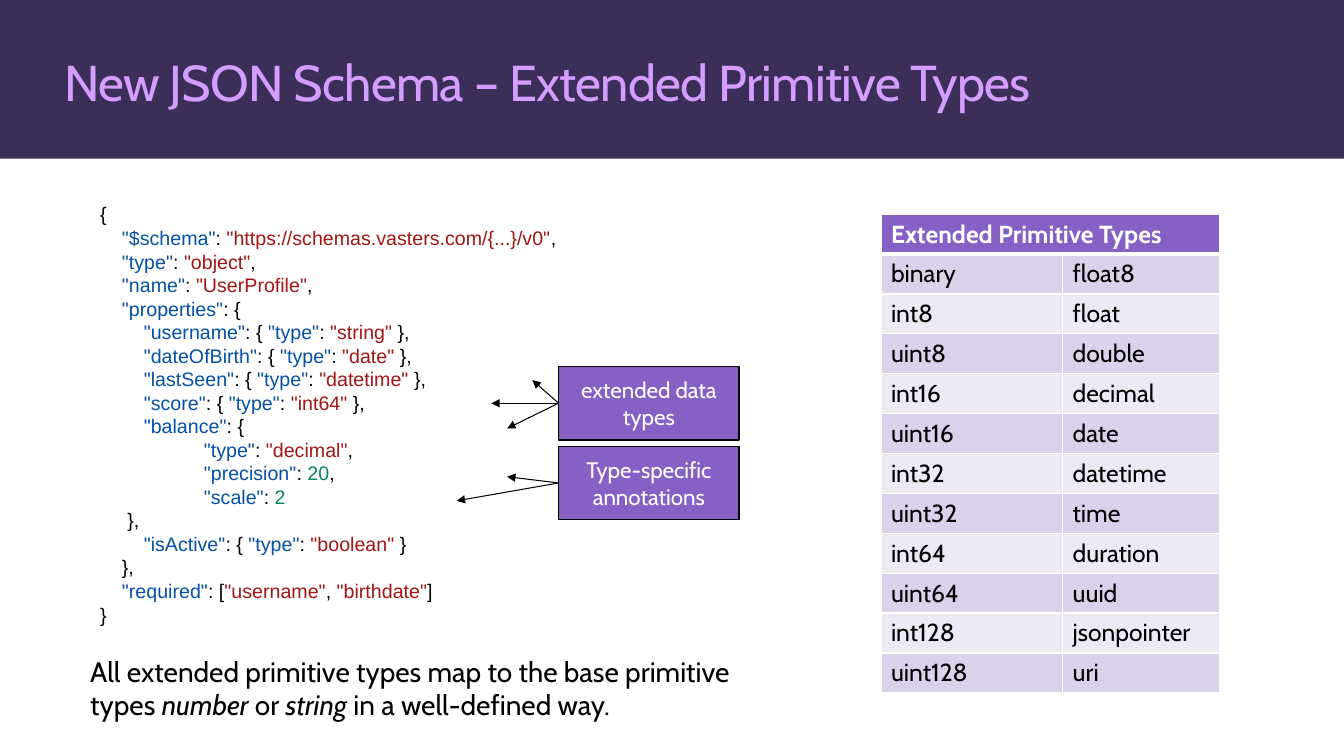
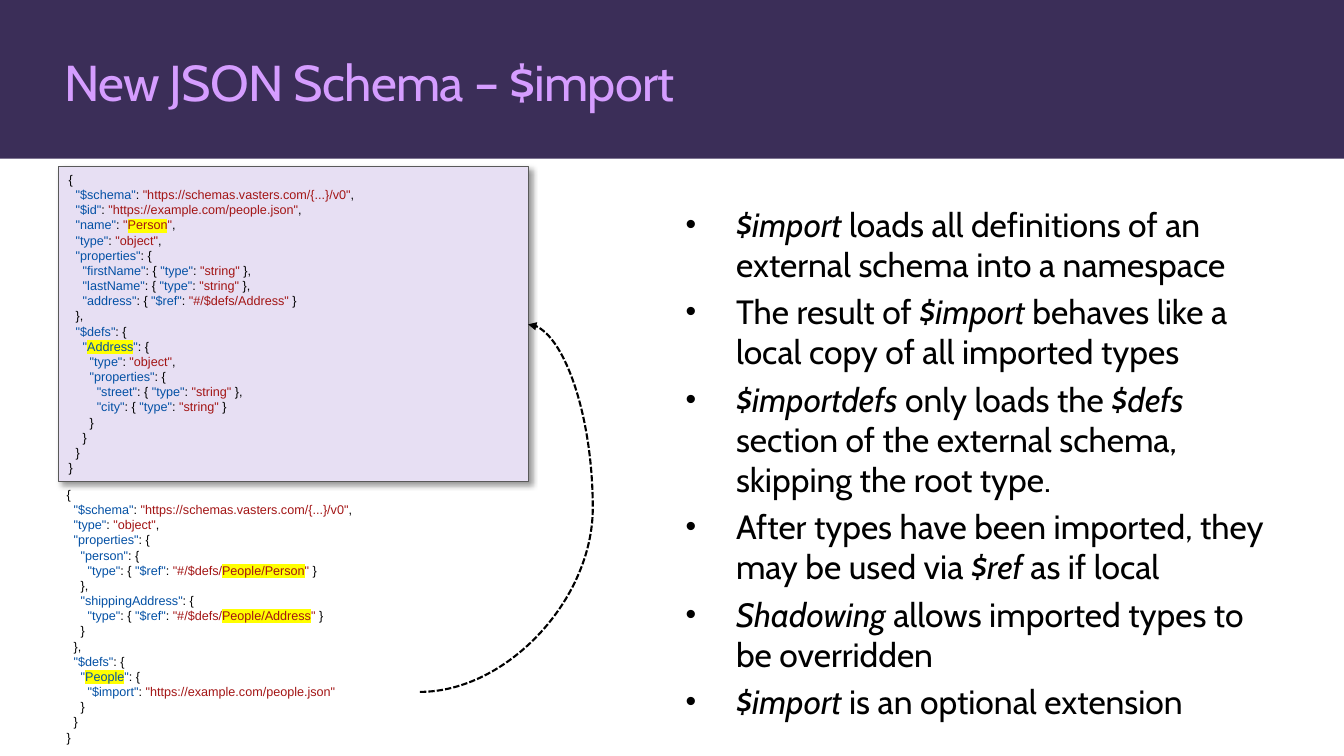
from itertools import groupby

from lxml import etree
from pptx import Presentation
from pptx.dml.color import RGBColor
from pptx.enum.dml import MSO_LINE
from pptx.enum.shapes import MSO_CONNECTOR, MSO_SHAPE
from pptx.enum.text import MSO_ANCHOR, PP_ALIGN
from pptx.oxml.ns import qn
from pptx.util import Emu, Pt

RECTANGLE = MSO_SHAPE.RECTANGLE
STRAIGHT, CURVE = MSO_CONNECTOR.STRAIGHT, MSO_CONNECTOR.CURVE
MIDDLE, CENTER, LEFT = MSO_ANCHOR.MIDDLE, PP_ALIGN.CENTER, PP_ALIGN.LEFT
DASH = MSO_LINE.SQUARE_DOT
LEFT_SITE, RIGHT_SITE = 1, 3

PX = 9525  # EMU per px, slide is 1280 x 720
HEAD_FONT, CODE_FONT = "Cabin", "Arial"
COLORS = {
    "band": "3B2E58", "title": "D59DFF", "accent": "8661C5", "white": "FFFFFF",
    "text": "000000", "key": "0451A5", "string": "A31515", "number": "098658",
    "mark": "FFFF00", "row_dark": "D9D2EA", "row_light": "EDEAF5",
    "panel": "E7DFF3", "panel_line": "595959",
}

# Content: « » encloses highlighted code, * * encloses italic words
TYPES_TITLE = "New JSON Schema – Extended Primitive Types"
PROFILE_CODE = """{
    "$schema": "https://schemas.vasters.com/{...}/v0",
    "type": "object",
    "name": "UserProfile",
    "properties": {
        "username": { "type": "string" },
        "dateOfBirth": { "type": "date" },
        "lastSeen": { "type": "datetime" },
        "score": { "type": "int64" },
        "balance": {
                   "type": "decimal",
                   "precision": 20,
                   "scale": 2
     },
        "isActive": { "type": "boolean" }
    },
    "required": ["username", "birthdate"]
}"""
CALLOUTS = [  # label, top, arrow tips
    ("Type-specific annotations", 425, [(435, 477), (483, 454)]),
    ("extended data types", 349, [(507, 362), (468, 384), (483, 408)]),
]
TYPES_HEADER = "Extended Primitive Types"
TYPE_ROWS = [
    ("binary", "float8"), ("int8", "float"), ("uint8", "double"),
    ("int16", "decimal"), ("uint16", "date"), ("int32", "datetime"),
    ("uint32", "time"), ("int64", "duration"), ("uint64", "uuid"),
    ("int128", "jsonpointer"), ("uint128", "uri"),
]
MAPPING_NOTE = ("All extended primitive types map to the base primitive types "
                "*number* or *string *in a well-defined way.")

IMPORT_TITLE = "New JSON Schema – $import"
PEOPLE_CODE = """{
  "$schema": "https://schemas.vasters.com/{...}/v0",
  "$id": "https://example.com/people.json",
  "name": "«Person»",
  "type": "object",
  "properties": {
    "firstName": { "type": "string" },
    "lastName": { "type": "string" },
    "address": { "$ref": "#/$defs/Address" }
  },
  "$defs": {
    "«Address»": {
      "type": "object",
      "properties": {
        "street": { "type": "string" },
        "city": { "type": "string" }
      }
    }
  }
}"""
IMPORTING_CODE = """{
  "$schema": "https://schemas.vasters.com/{...}/v0",
  "type": "object",
  "properties": {
    "person": {
      "type": { "$ref": "#/$defs/«People/Person»" }
    },
    "shippingAddress": {
      "type": { "$ref": "#/$defs/«People/Address»" }
    }
  },
  "$defs": {
    "«People»": {
      "$import": "https://example.com/people.json"
    }
  }
}"""
IMPORT_POINTS = [
    "*$import *loads all definitions of an external schema into a namespace",
    "The result of *$import* behaves like a local copy of all imported types",
    "*$importdefs *only loads the *$defs *section of the external schema, "
    "skipping the root type.",
    "After types have been imported, they may be used via *$ref* as if local",
    "*Shadowing* allows imported types to be overridden",
    "*$import *is an optional extension",
]


def px(*lengths):
    return [Emu(n * PX) for n in lengths]


def rgb(name):
    return RGBColor.from_string(COLORS[name])


def style(font, size, color="text", face=HEAD_FONT):
    font.size, font.name = Pt(size), face
    font.color.rgb = rgb(color)


def add_box(slide, area, fill, line=None, line_width=1):
    box = slide.shapes.add_shape(RECTANGLE, *px(*area))
    box.shadow.inherit = False
    box.fill.solid()
    box.fill.fore_color.rgb = rgb(fill)
    if line:
        box.line.color.rgb = rgb(line)
        box.line.width = Pt(line_width)
    else:
        box.line.fill.background()
    return box


def set_insets(frame, side, end):
    frame.margin_left, frame.margin_right = px(side, side)
    frame.margin_top, frame.margin_bottom = px(end, end)


def add_text_area(slide, area):
    frame = slide.shapes.add_textbox(*px(*area)).text_frame
    frame.word_wrap = True
    set_insets(frame, 0, 0)
    return frame


def write_emphasis(paragraph, text, size):
    for i, piece in enumerate(text.split("*")):
        if piece:
            run = paragraph.add_run()
            run.text = piece
            style(run.font, size)
            run.font.italic = i % 2 == 1


def code_tokens(line):
    """Yield (text, colour name, highlighted) for one line of JSON."""
    parts = line.split('"')
    for i, part in enumerate(parts):
        if i % 2:
            color = "key" if parts[i + 1].startswith(":") else "string"
            pieces = f'"{part}"'.replace("»", "«").split("«")
            for j, piece in enumerate(pieces):
                yield piece, color, j % 2 == 1
        else:
            for is_number, chars in groupby(part, str.isdigit):
                yield "".join(chars), "number" if is_number else "text", False


def write_code(frame, code, size):
    frame.word_wrap = True
    for i, line in enumerate(code.split("\n")):
        paragraph = frame.paragraphs[0] if i == 0 else frame.add_paragraph()
        paragraph.alignment = LEFT
        for text, color, marked in code_tokens(line):
            run = paragraph.add_run()
            run.text = text
            style(run.font, size, color, CODE_FONT)
            if marked:
                highlight = etree.Element(qn("a:highlight"))
                etree.SubElement(highlight, qn("a:srgbClr"), val=COLORS["mark"])
                run._r.rPr.find(qn("a:solidFill")).addnext(highlight)


def add_arrow(slide, kind, start, end, width):
    arrow = slide.shapes.add_connector(kind, *px(*start, *end))
    arrow.line.color.rgb = rgb("text")
    arrow.line.width = Pt(width)
    properties = arrow._element.spPr
    etree.SubElement(properties.find(qn("a:ln")), qn("a:tailEnd"), type="triangle")
    etree.SubElement(properties, qn("a:effectLst"))
    return arrow


def add_drop_shadow(shape):
    effects = shape._element.spPr.find(qn("a:effectLst"))
    shadow = etree.SubElement(effects, qn("a:outerShdw"), blurRad=str(Pt(4)),
                              dist=str(Pt(3)), dir=str(45 * 60000), algn="tl")
    color = etree.SubElement(shadow, qn("a:srgbClr"), val=COLORS["text"])
    etree.SubElement(color, qn("a:alpha"), val="40000")


def fill_cell(cell, text, fill, color="text", bold=False, bottom=1):
    properties = cell._tc.get_or_add_tcPr()
    for side, width in (("L", 1), ("R", 1), ("T", 1), ("B", bottom)):
        border = etree.SubElement(properties, qn(f"a:ln{side}"), w=str(Pt(width)))
        solid = etree.SubElement(border, qn("a:solidFill"))
        etree.SubElement(solid, qn("a:srgbClr"), val=COLORS["white"])
    cell.fill.solid()
    cell.fill.fore_color.rgb = rgb(fill)
    cell.text_frame.text = text
    if text:
        font = cell.text_frame.paragraphs[0].runs[0].font
        style(font, 17.6, color)
        font.bold = bold


def add_titled_slide(deck, title):
    slide = deck.slides.add_slide(deck.slide_layouts[6])
    add_box(slide, (0, 0, 1280, 151), "band")
    frame = add_text_area(slide, (61, 48, 1157, 59))
    frame.vertical_anchor = MIDDLE
    frame.text = title
    run = frame.paragraphs[0].runs[0]
    style(run.font, 36, "title")
    run._r.rPr.set("spc", "-50")
    return slide


def build_types_slide(deck):
    slide = add_titled_slide(deck, TYPES_TITLE)
    profile = slide.shapes.add_textbox(*px(86, 188, 606, 417))
    write_code(profile.text_frame, PROFILE_CODE, 14)

    # Callouts with arrows into the code
    left, height = 532, 70
    for label, top, tips in CALLOUTS:
        callout = add_box(slide, (left, top, 172, height), "accent", "text")
        frame = callout.text_frame
        frame.word_wrap = True
        frame.vertical_anchor = MIDDLE
        set_insets(frame, 19, 15)
        frame.text = label
        frame.paragraphs[0].alignment = CENTER
        style(frame.paragraphs[0].runs[0].font, 16, "white")
        for tip in tips:
            arrow = add_arrow(slide, STRAIGHT, (left, top + height // 2), tip, 0.75)
            arrow.begin_connect(callout, LEFT_SITE)

    # Table of types
    widths, row_height = (173, 150), 38
    row_count = len(TYPE_ROWS) + 1
    table = slide.shapes.add_table(
        row_count, 2, *px(839, 204, sum(widths), row_count * row_height)).table
    for column, width in zip(table.columns, px(*widths)):
        column.width = width
    for column, text in enumerate((TYPES_HEADER, "")):
        fill_cell(table.cell(0, column), text, "accent", "white", True, 3)
    table.cell(0, 0).merge(table.cell(0, 1))
    for row, names in enumerate(TYPE_ROWS, 1):
        for column, name in enumerate(names):
            fill_cell(table.cell(row, column), name,
                      "row_dark" if row % 2 else "row_light")

    note = add_text_area(slide, (86, 623, 663, 64))
    write_emphasis(note.paragraphs[0], MAPPING_NOTE, 20)


def build_import_slide(deck):
    slide = add_titled_slide(deck, IMPORT_TITLE)

    # Bullet points
    frame = add_text_area(slide, (653, 194, 565, 504))
    for i, point in enumerate(IMPORT_POINTS):
        paragraph = frame.paragraphs[0] if i == 0 else frame.add_paragraph()
        properties = paragraph._p.get_or_add_pPr()
        properties.set("marL", str(48 * PX))
        properties.set("indent", str(-48 * PX))
        etree.SubElement(properties, qn("a:buSzPct"), val="90000")
        etree.SubElement(properties, qn("a:buFont"), typeface=CODE_FONT)
        etree.SubElement(properties, qn("a:buChar"), char="•")
        if i:
            paragraph.space_before = Pt(4.8)
        write_emphasis(paragraph, point, 24)

    # Imported schema above, importing schema below
    people = add_box(slide, (56, 159, 447, 300), "panel", "panel_line", 0.75)
    add_drop_shadow(people)
    people.text_frame.vertical_anchor = MSO_ANCHOR.TOP
    write_code(people.text_frame, PEOPLE_CODE, 9)
    importing = slide.shapes.add_textbox(*px(54, 459, 709, 257))
    write_code(importing.text_frame, IMPORTING_CODE, 9)

    # Curve from the $import line to the imported schema
    link = add_arrow(slide, CURVE, (400, 659), (503, 309), 1.5)
    link.line.dash_style = DASH
    link.end_connect(people, RIGHT_SITE)
    bends = link._element.spPr.find(qn("a:prstGeom")).get_or_add_avLst()
    etree.SubElement(bends, qn("a:gd"), name="adj1", fmla="val 159800")


def main():
    deck = Presentation()
    deck.slide_width, deck.slide_height = px(1280, 720)
    build_types_slide(deck)
    build_import_slide(deck)
    deck.save("out.pptx")


if __name__ == "__main__":
    main()
